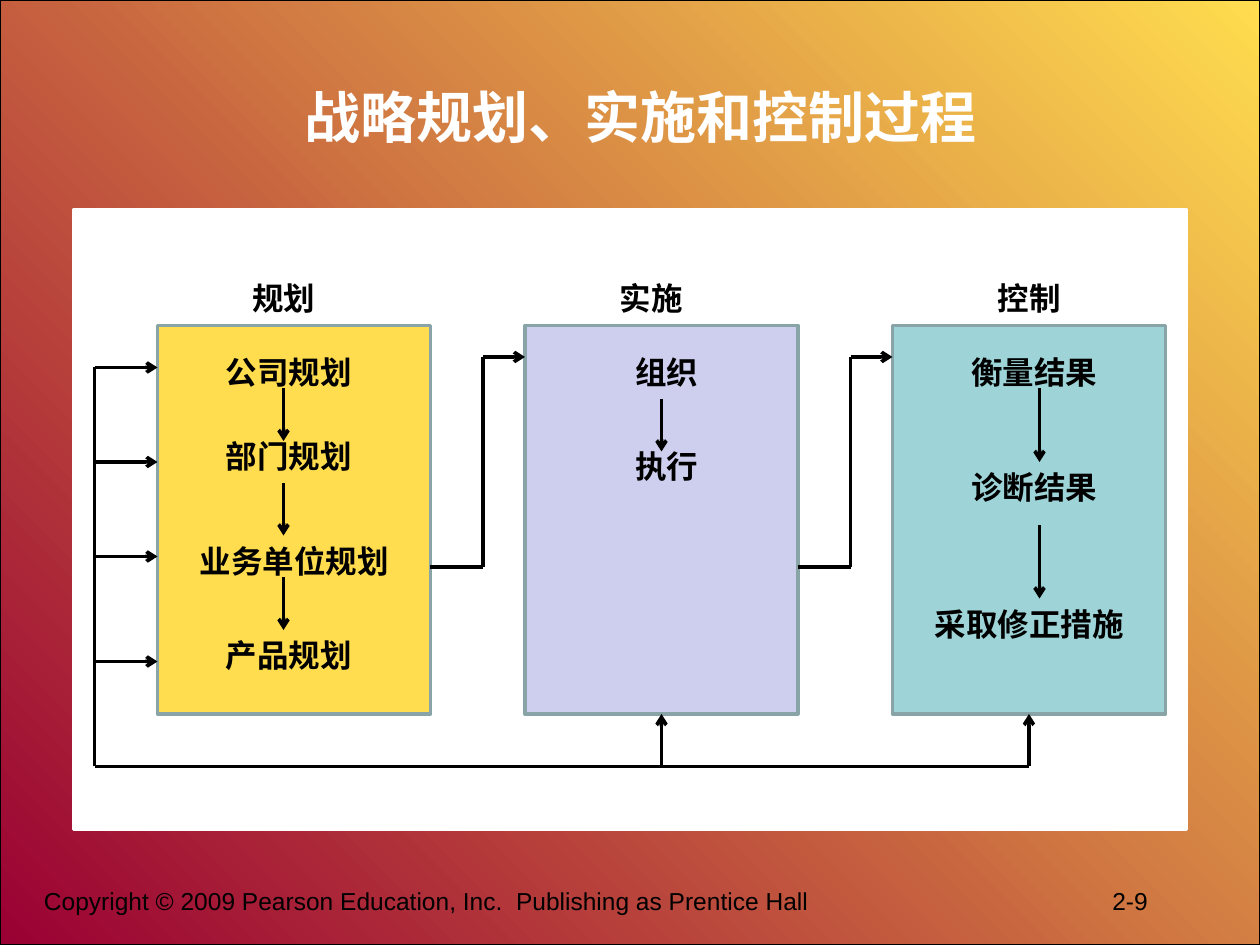
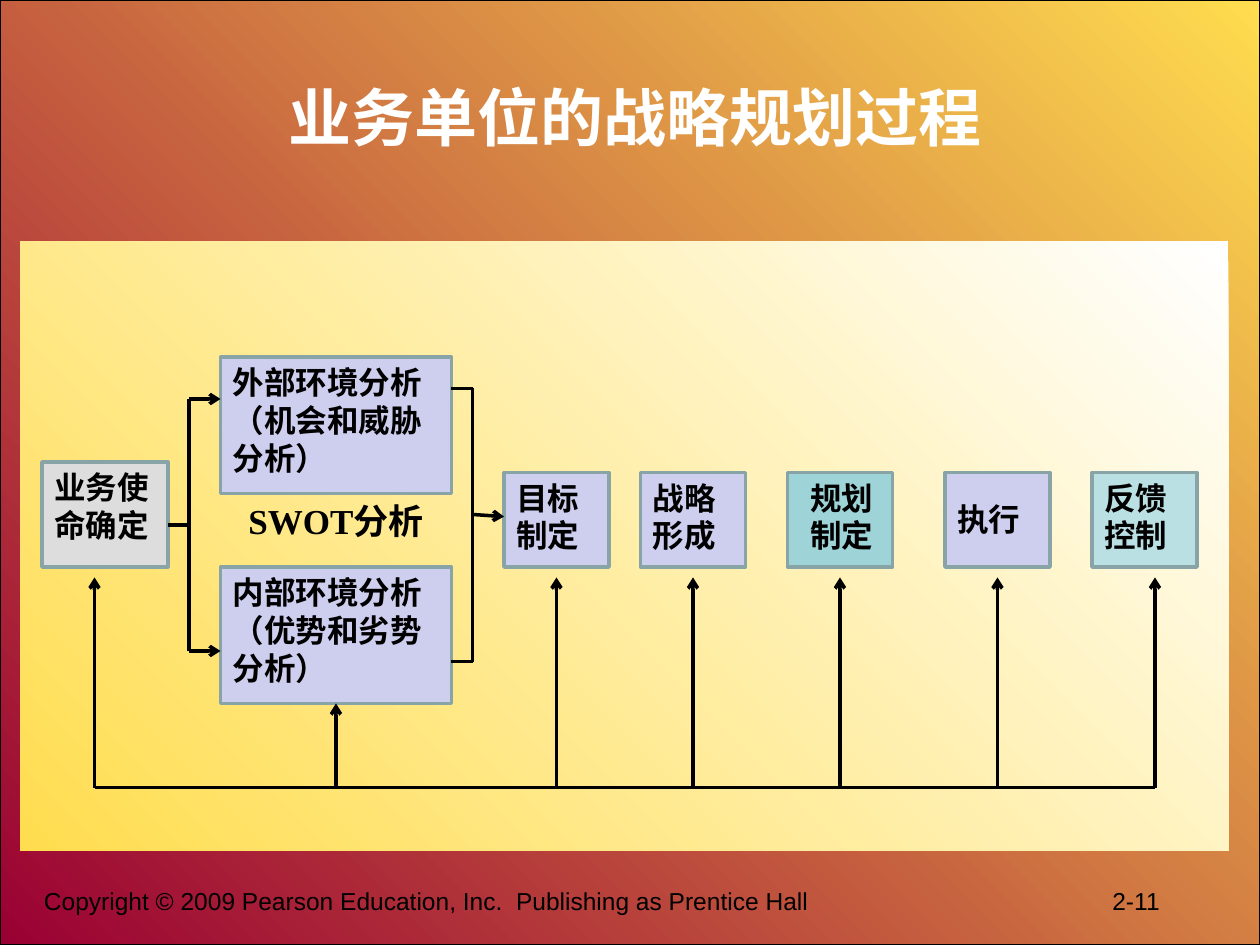
from dataclasses import dataclass
from itertools import pairwise

from lxml import etree
from pptx import Presentation, util as u
from pptx.dml.color import RGBColor
from pptx.enum import shapes, text
from pptx.oxml.ns import qn


@dataclass(frozen=True)
class Theme:
    ink: str = "000000"
    white: str = "FFFFFF"
    yellow: str = "FFDD4F"
    red: str = "990033"
    lilac: str = "CECEEF"
    teal: str = "9ED3D7"
    pale_teal: str = "BBE0E3"
    grey: str = "DDDDDD"
    border: str = "89A4A7"
    body_font: str = "Arial"
    title_font: str = "Noto Sans CJK SC"
    serif_font: str = "Times New Roman"
    body_size: int = 18
    swot_size: int = 20
    footer_size: int = 14
    line_width: float = 2
    frame_width: float = 0.75


THEME = Theme()
COLUMNS, ROWS = 120, 90  # twelve grid cells to the inch
CELL = u.Inches(1) / 12
COPYRIGHT = "Copyright © 2009 Pearson Education, Inc.  Publishing as Prentice Hall"
PAGE_NUMBER_TAB = u.Inches(8.48)


def cells(*counts):
    return [u.Emu(round(count * CELL)) for count in counts]


def rgb(value):
    return RGBColor.from_string(value)


# Kinds of element
def block(slide, area, fill, border=None, width=THEME.line_width):
    """Rectangle; a pair of colours makes a gradient from the top right."""
    rect = slide.shapes.add_shape(shapes.MSO_SHAPE.RECTANGLE, *cells(*area))
    rect.shadow.inherit = False
    if isinstance(fill, tuple):
        rect.fill.gradient()
        rect.fill.gradient_angle = 225
        for stop, color, position in zip(rect.fill.gradient_stops, fill, (0, 1)):
            stop.color.rgb = rgb(color)
            stop.position = position
    else:
        rect.fill.solid()
        rect.fill.fore_color.rgb = rgb(fill)
    if border:
        rect.line.color.rgb = rgb(border)
        rect.line.width = u.Pt(width)
    else:
        rect.line.fill.background()


def write(slide, area, wording, size=THEME.body_size, font=THEME.body_font,
          color=THEME.ink, bold=True, centred=True, middle=False, tab=None):
    frame = slide.shapes.add_textbox(*cells(*area)).text_frame
    frame.word_wrap = True
    frame.vertical_anchor = (text.MSO_ANCHOR.MIDDLE if middle
                             else text.MSO_ANCHOR.TOP)
    paragraph = frame.paragraphs[0]
    paragraph.text = wording
    paragraph.alignment = text.PP_ALIGN.CENTER if centred else text.PP_ALIGN.LEFT
    properties = paragraph._p.get_or_add_pPr()
    if tab:
        tabs = etree.SubElement(properties, qn("a:tabLst"))
        etree.SubElement(tabs, qn("a:tab"), pos=str(tab), algn="l")
    paragraph.font.size = u.Pt(size)
    paragraph.font.bold = bold
    paragraph.font.name = font
    paragraph.font.color.rgb = rgb(color)
    etree.SubElement(properties.find(qn("a:defRPr")), qn("a:ea"),
                     typeface=THEME.title_font)


def label(slide, x, y, width, wording, lines=1, size=THEME.body_size, **style):
    height = lines * size * 0.2 + 1.2
    write(slide, (x, y, width, height), wording, size, **style)


def route(slide, *points, arrow=True):
    """Straight segments through the points, with an arrowhead at the end."""
    for start, end in pairwise(points):
        segment = slide.shapes.add_connector(
            shapes.MSO_CONNECTOR.STRAIGHT, *cells(*start, *end))
        segment.line.color.rgb = rgb(THEME.ink)
        segment.line.width = u.Pt(THEME.line_width)
        etree.SubElement(segment._element.spPr, qn("a:effectLst"))
    if arrow:
        etree.SubElement(segment.line._get_or_add_ln(), qn("a:tailEnd"), type="arrow")


def new_slide(deck, title, title_x, title_width, title_size, page):
    """Shared background, footer and title."""
    slide = deck.slides.add_slide(deck.slide_layouts[6])
    block(slide, (0, 0, COLUMNS, ROWS), (THEME.yellow, THEME.red),
          THEME.ink, THEME.frame_width)
    write(slide, (3, 83.8, 112, 6.2), f"{COPYRIGHT}\t{page}", THEME.footer_size,
          bold=False, centred=False, tab=PAGE_NUMBER_TAB)
    write(slide, (title_x, 3.6, title_width, 15), title, title_size,
          THEME.title_font, THEME.white, middle=True)
    return slide


# Planning, implementation and control
def process_slide(deck):
    slide = new_slide(deck, "战略规划、实施和控制过程", 6, 110, 32, "2-9")
    block(slide, (7, 20, 106, 59), THEME.white, THEME.white)

    # Phase: heading, heading x, box x, fill, step centre, steps with their rows
    phases = [
        ("规划", 20, 15, THEME.yellow, 27.5,
         [("公司规划", 33), ("部门规划", 41), ("业务单位规划", 51), ("产品规划", 60)]),
        ("实施", 55, 50, THEME.lilac, 63.5, [("组织", 33), ("执行", 42)]),
        ("控制", 91, 85, THEME.teal, 98.5,
         [("衡量结果", 33), ("诊断结果", 44), ("采取修正措施", 57)]),
    ]
    for heading, heading_x, box_x, fill, centre, steps in phases:
        block(slide, (box_x, 31, 26, 37), fill, THEME.border)
        label(slide, heading_x, 26, 14, heading)
        for step, row in steps:
            if len(step) > 4:
                label(slide, box_x, row, 26, step)
            else:
                label(slide, centre - 9.5, row, 19, step)

    # Arrows between steps
    for x, top, bottom in [(27, 37, 42), (27, 46, 51), (27, 55, 60),
                           (63, 38, 43), (99, 37, 44), (99, 50, 57)]:
        route(slide, (x, top), (x, bottom))
    # Arrows between phases
    for x in (41, 76):
        route(slide, (x, 54), (x + 5, 54), (x + 5, 34), (x + 9, 34))
    # Feedback loop
    route(slide, (98, 73), (9, 73), (9, 35), arrow=False)
    for x in (63, 98):
        route(slide, (x, 73), (x, 68))
    for y in (35, 44, 53, 63):
        route(slide, (9, y), (15, y))


# Business unit planning
def business_unit_slide(deck):
    slide = new_slide(deck, "业务单位的战略规划过程", 10, 101, 36, "2-11")
    block(slide, (2, 23, 115, 58), (THEME.white, THEME.yellow))

    # Mission and SWOT analysis
    block(slide, (4, 44, 12, 10), THEME.grey, THEME.border)
    label(slide, 4, 44, 12, "业务使命确定", lines=2, centred=False)
    for y, analysis in [(34, "外部环境分析（机会和威胁分析）"),
                        (54, "内部环境分析（优势和劣势分析）")]:
        block(slide, (21, y, 22, 13), THEME.lilac, THEME.border)
        label(slide, 21, y, 22, analysis, lines=3, centred=False)
    label(slide, 21, 47, 22, "SWOT分析", size=THEME.swot_size,
          font=THEME.serif_font)

    # Later stages: box x, label x, label row, lines, wording, fill
    for x, label_x, row, lines, stage, fill in [
            (48, 48, 45, 2, "目标制定", THEME.lilac),
            (61, 61, 45, 2, "战略形成", THEME.lilac),
            (75, 76, 45, 2, "规划制定", THEME.teal),
            (90, 90, 47, 1, "执行", THEME.lilac),
            (104, 104, 45, 2, "反馈控制", THEME.pale_teal)]:
        block(slide, (x, 45, 10, 9), fill, THEME.border)
        label(slide, label_x, row, 9, stage, lines, centred=False)

    # Brackets around the analyses
    route(slide, (16, 50), (18, 50), arrow=False)
    route(slide, (18, 38), (18, 62), arrow=False)
    for y in (38, 62):
        route(slide, (18, y), (21, y))
    route(slide, (43, 37), (45, 37), (45, 63), (43, 63), arrow=False)
    route(slide, (45, 49), (48, 49.2))

    # Feedback line
    route(slide, (9, 75), (110, 75), arrow=False)
    for x in (9, 32, 53, 66, 80, 95, 110):
        route(slide, (x, 75), (x, 67 if x == 32 else 55))


def main():
    deck = Presentation()
    deck.slide_width, deck.slide_height = cells(COLUMNS, ROWS)
    process_slide(deck)
    business_unit_slide(deck)
    deck.save("out.pptx")


if __name__ == "__main__":
    main()
